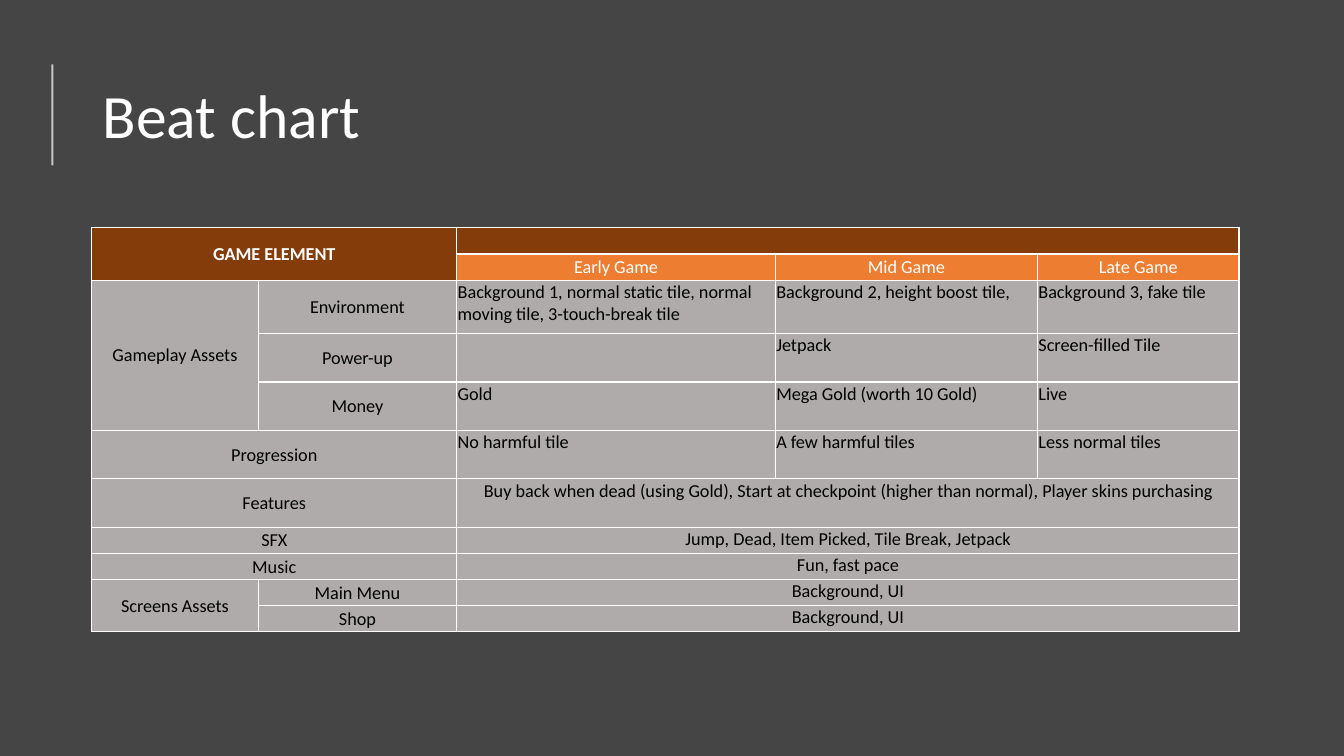
import pptx
import pptx.util
import pptx.dml.color
import pptx.enum.shapes
import pptx.enum.text
import pptx.oxml
import pptx.oxml.ns
import lxml.etree

Inches = pptx.util.Inches
Pt = pptx.util.Pt
PP_ALIGN = pptx.enum.text.PP_ALIGN
MSO_ANCHOR = pptx.enum.text.MSO_ANCHOR
qn = pptx.oxml.ns.qn


def colour(value):
    return pptx.dml.color.RGBColor.from_string(value)


def write(paragraph, text, size, ink, bold=False):
    run = paragraph.add_run()
    run.text = text
    run.font.name = "Calibri"
    run.font.size = Pt(size)
    run.font.bold = bold
    run.font.color.rgb = colour(ink)


presentation = pptx.Presentation()
presentation.slide_width = Inches(13.33)
presentation.slide_height = Inches(7.5)
slide = presentation.slides.add_slide(presentation.slide_layouts[6])
slide.background.fill.solid()
slide.background.fill.fore_color.rgb = colour("454545")

heading = slide.shapes.add_textbox(
    Inches(0.92), Inches(0.52), Inches(11.5), Inches(1.31)
).text_frame
heading.word_wrap = True
heading.vertical_anchor = MSO_ANCHOR.MIDDLE
heading.paragraphs[0].line_spacing = 0.9
write(heading.paragraphs[0], "Beat chart", 44, "FFFFFF")

accent = slide.shapes.add_connector(
    pptx.enum.shapes.MSO_CONNECTOR.STRAIGHT,
    Inches(0.52), Inches(1.64), Inches(0.52), Inches(0.64),
)
accent.line.width = Pt(1.5)
accent.line.color.rgb = colour("FFFFFF")
accent_colour = accent.line._ln.find(".//" + qn("a:srgbClr"))
lxml.etree.SubElement(accent_colour, qn("a:alpha")).set("val", "70000")
lxml.etree.SubElement(accent._element.spPr, qn("a:effectLst"))

column_widths = [1.65, 1.97, 3.16, 2.6, 2]
row_heights = [0.26] * 2 + [0.53] + [0.48] * 4 + [0.26] * 4
beats = [
    ["GAME ELEMENT"],
    ["", "", "Early Game", "Mid Game", "Late Game"],
    ["Gameplay Assets", "Environment",
     "Background 1, normal static tile, normal moving tile, 3-touch-break tile",
     "Background 2, height boost tile,", "Background 3, fake tile"],
    ["", "Power-up", "", "Jetpack", "Screen-filled Tile"],
    ["", "Money", "Gold", "Mega Gold (worth 10 Gold)", "Live"],
    ["Progression", "", "No harmful tile", "A few harmful tiles", "Less normal tiles"],
    ["Features", "",
     "Buy back when dead (using Gold), Start at checkpoint (higher than normal), "
     "Player skins purchasing"],
    ["SFX", "", "Jump, Dead, Item Picked, Tile Break, Jetpack"],
    ["Music", "", "Fun, fast pace"],
    ["Screens Assets", "Main Menu", "Background, UI"],
    ["", "Shop", "Background, UI"],
]
all_stages_rows = [0, 6, 7, 8, 9, 10]

chart = slide.shapes.add_table(
    len(row_heights), len(column_widths), Inches(0.91), Inches(2.26),
    Inches(sum(column_widths)), Inches(sum(row_heights)),
).table
for column, width in zip(chart.columns, column_widths):
    column.width = Inches(width)
for row, height in zip(chart.rows, row_heights):
    row.height = Inches(height)

for r in range(len(row_heights)):
    for c in range(len(column_widths)):
        cell = chart.cell(r, c)
        text = beats[r][c] if c < len(beats[r]) else ""
        is_label = r < 2 or c < 2
        cell.margin_left = cell.margin_right = cell.margin_top = Inches(0.01)
        cell.margin_bottom = 0
        cell.vertical_anchor = MSO_ANCHOR.MIDDLE if is_label else MSO_ANCHOR.TOP

        paragraph = cell.text_frame.paragraphs[0]
        centred = is_label or r in all_stages_rows
        paragraph.alignment = PP_ALIGN.CENTER if centred else PP_ALIGN.LEFT
        if text:
            write(paragraph, text, 13, "FFFFFF" if r < 2 else "000000", r == 0)
        lxml.etree.SubElement(paragraph._p, qn("a:endParaRPr")).set("sz", "1300")

        properties = cell._tc.get_or_add_tcPr()
        for side in ["lnL", "lnR", "lnT", "lnB"]:
            border = lxml.etree.SubElement(properties, qn("a:" + side))
            border.set("w", str(Pt(1)))
            paint = lxml.etree.SubElement(border, qn("a:solidFill"))
            lxml.etree.SubElement(paint, qn("a:srgbClr")).set("val", "FFFFFF")
        cell.fill.solid()
        header_fill = "ED7D31" if r == 1 and c >= 2 else "843C0B"
        cell.fill.fore_color.rgb = colour(header_fill if r < 2 else "AFABAB")

for top, left, bottom, right in [(0, 0, 1, 1), (2, 0, 4, 0), (9, 0, 10, 0)]:
    chart.cell(top, left).merge(chart.cell(bottom, right))
for r in range(5, 9):
    chart.cell(r, 0).merge(chart.cell(r, 1))
for r in all_stages_rows:
    chart.cell(r, 2).merge(chart.cell(r, 4))

presentation.save("out.pptx")
